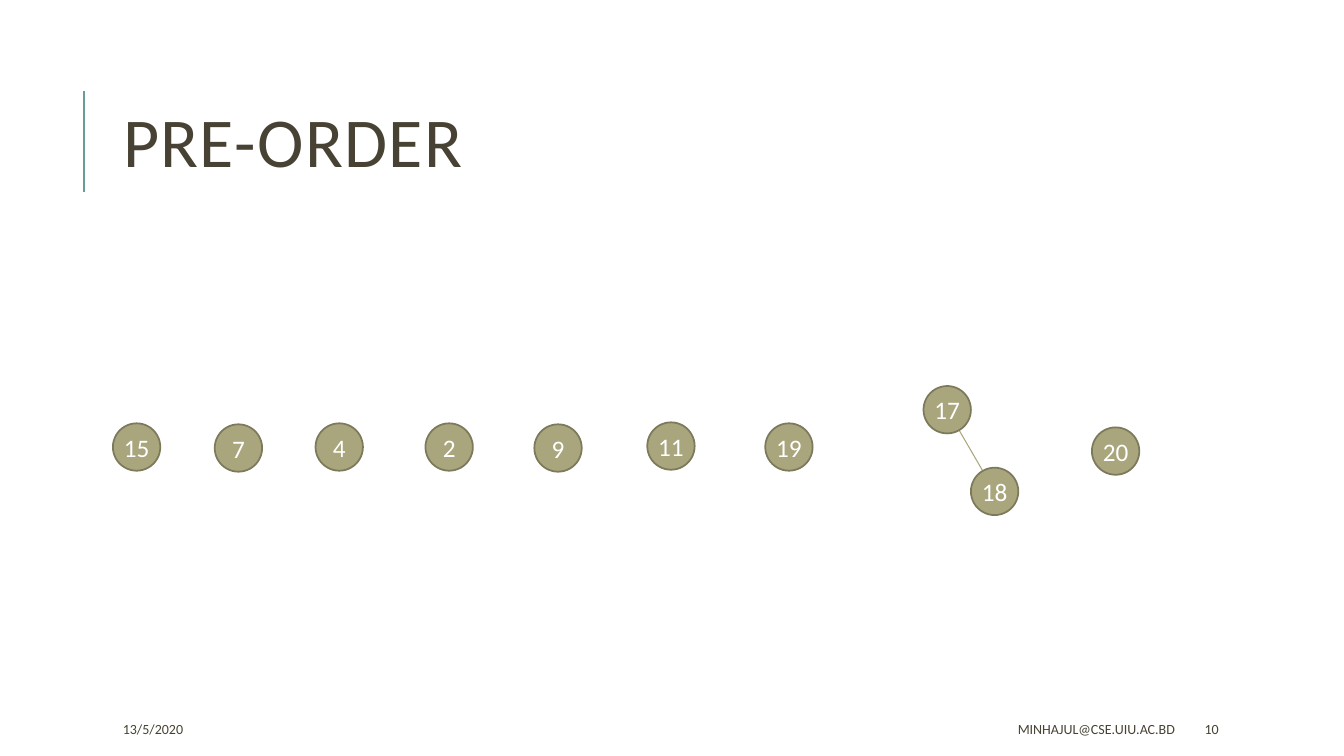
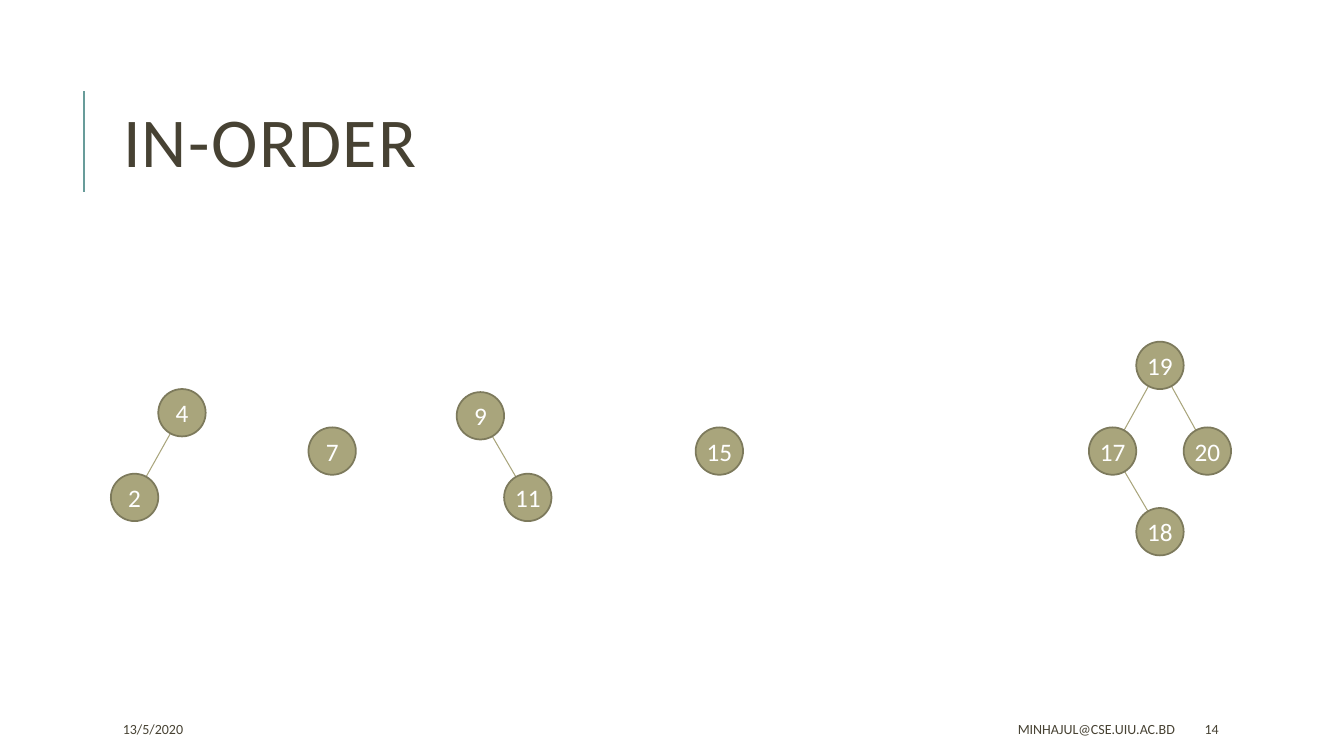
from dataclasses import dataclass

from lxml import etree
from pptx import Presentation
from pptx.dml.color import RGBColor
from pptx.enum.shapes import MSO_CONNECTOR, MSO_SHAPE
from pptx.enum.text import MSO_ANCHOR, MSO_AUTO_SIZE, PP_ALIGN
from pptx.oxml.ns import qn
from pptx.slide import Slide
from pptx.text.text import TextFrame
from pptx.util import Inches, Pt

LINE = MSO_CONNECTOR.STRAIGHT
OVAL = MSO_SHAPE.OVAL
MIDDLE = MSO_ANCHOR.MIDDLE
LEFT, CENTER, RIGHT = PP_ALIGN.LEFT, PP_ALIGN.CENTER, PP_ALIGN.RIGHT

# Shared style
FONT = "Calibri"
INK, TEAL, SAGE, RIM, WHITE = "474233", "689C9A", "A9A57C", "7D7A5C", "FFFFFF"
SIZE = 0.47  # node diameter
TITLE_ONLY = 5
DATE = "13/5/2020"
MAIL = "MINHAJUL@CSE.UIU.AC.BD"


@dataclass(frozen=True)
class Node:
    key: int
    left: float
    top: float

    @property
    def mid(self) -> tuple[float, float]:
        return self.left + SIZE / 2, self.top + SIZE / 2


@dataclass(frozen=True)
class Page:
    title: str
    number: int
    nodes: tuple[Node, ...]
    edges: tuple[tuple[int, int], ...]


PAGES = (
    Page(
        "PRE-ORDER", 10,
        (
            Node(15, 1.12, 4.2), Node(7, 2.13, 4.21), Node(4, 3.13, 4.2),
            Node(2, 4.22, 4.2), Node(9, 5.3, 4.21), Node(11, 6.42, 4.19),
            Node(19, 7.59, 4.2), Node(17, 9.16, 3.83), Node(18, 9.63, 4.64),
            Node(20, 10.83, 4.24),
        ),
        ((17, 18),),
    ),
    Page(
        "IN-ORDER", 14,
        (
            Node(2, 1.1, 4.7), Node(4, 1.57, 3.86), Node(7, 3.06, 4.24),
            Node(9, 4.53, 3.89), Node(11, 5, 4.7), Node(15, 6.9, 4.24),
            Node(17, 10.8, 4.24), Node(18, 11.27, 5.04),
            Node(19, 11.27, 3.39), Node(20, 11.74, 4.24),
        ),
        ((19, 17), (19, 20), (4, 2), (9, 11), (17, 18)),
    ),
)


def color(code: str) -> RGBColor:
    return RGBColor.from_string(code)


def write(frame: TextFrame, text: str, size: float, ink: str,
          align: PP_ALIGN = LEFT, track: int = 0) -> None:
    frame.word_wrap = True
    frame.vertical_anchor = MIDDLE
    para = frame.paragraphs[0]
    para.alignment = align
    run = para.add_run()
    run.text = text
    run.font.name = FONT
    run.font.size = Pt(size)
    run.font.color.rgb = color(ink)
    if track:
        run.font._element.set("spc", str(track))


def draw_line(slide: Slide, start: tuple[float, float],
              end: tuple[float, float], ink: str, width: float) -> None:
    points = [Inches(v) for v in (*start, *end)]
    line = slide.shapes.add_connector(LINE, *points)
    line.line.color.rgb = color(ink)
    line.line.width = Pt(width)
    etree.SubElement(line._element.spPr, qn("a:effectLst"))


def draw_node(slide: Slide, node: Node) -> None:
    spot = [Inches(v) for v in (node.left, node.top, SIZE, SIZE)]
    disc = slide.shapes.add_shape(OVAL, *spot)
    disc.shadow.inherit = False
    disc.fill.solid()
    disc.fill.fore_color.rgb = color(SAGE)
    disc.line.color.rgb = color(RIM)
    disc.line.width = Pt(1.25)
    frame = disc.text_frame
    frame.margin_left = frame.margin_right = 0
    frame.margin_top = frame.margin_bottom = 0
    write(frame, str(node.key), 18, WHITE, CENTER)


def draw_note(slide: Slide, text: str, left: float, width: float,
              align: PP_ALIGN = LEFT) -> None:
    spot = [Inches(v) for v in (left, 7.08, width, 0.3)]
    write(slide.shapes.add_textbox(*spot).text_frame, text, 10, INK, align)


def draw_frame(slide: Slide, page: Page) -> None:
    # Title and its side rule
    draw_line(slide, (0.83, 1.9), (0.83, 0.9), TEAL, 1.5)
    title = slide.shapes.title
    title.left, title.top = Inches(1.12), Inches(0.64)
    title.width, title.height = Inches(10.63), Inches(1.64)
    frame = title.text_frame
    write(frame, page.title, 50, INK, track=100)
    frame.auto_size = MSO_AUTO_SIZE.NONE
    frame.paragraphs[0].line_spacing = 0.8
    # Footer
    draw_note(slide, DATE, 1.12, 2.36)
    draw_note(slide, MAIL, 5.3, 6.45, RIGHT)
    draw_note(slide, str(page.number), 11.85, 1.06)


def draw_tree(slide: Slide, page: Page) -> None:
    mids = {node.key: node.mid for node in page.nodes}
    # Edges go first, so the discs cover their ends
    for start, end in page.edges:
        draw_line(slide, mids[start], mids[end], SAGE, 0.75)
    for node in page.nodes:
        draw_node(slide, node)


def main() -> None:
    deck = Presentation()
    deck.slide_width, deck.slide_height = Inches(13.33), Inches(7.5)
    for page in PAGES:
        slide = deck.slides.add_slide(deck.slide_layouts[TITLE_ONLY])
        draw_frame(slide, page)
        draw_tree(slide, page)
    deck.save("out.pptx")


if __name__ == "__main__":
    main()
